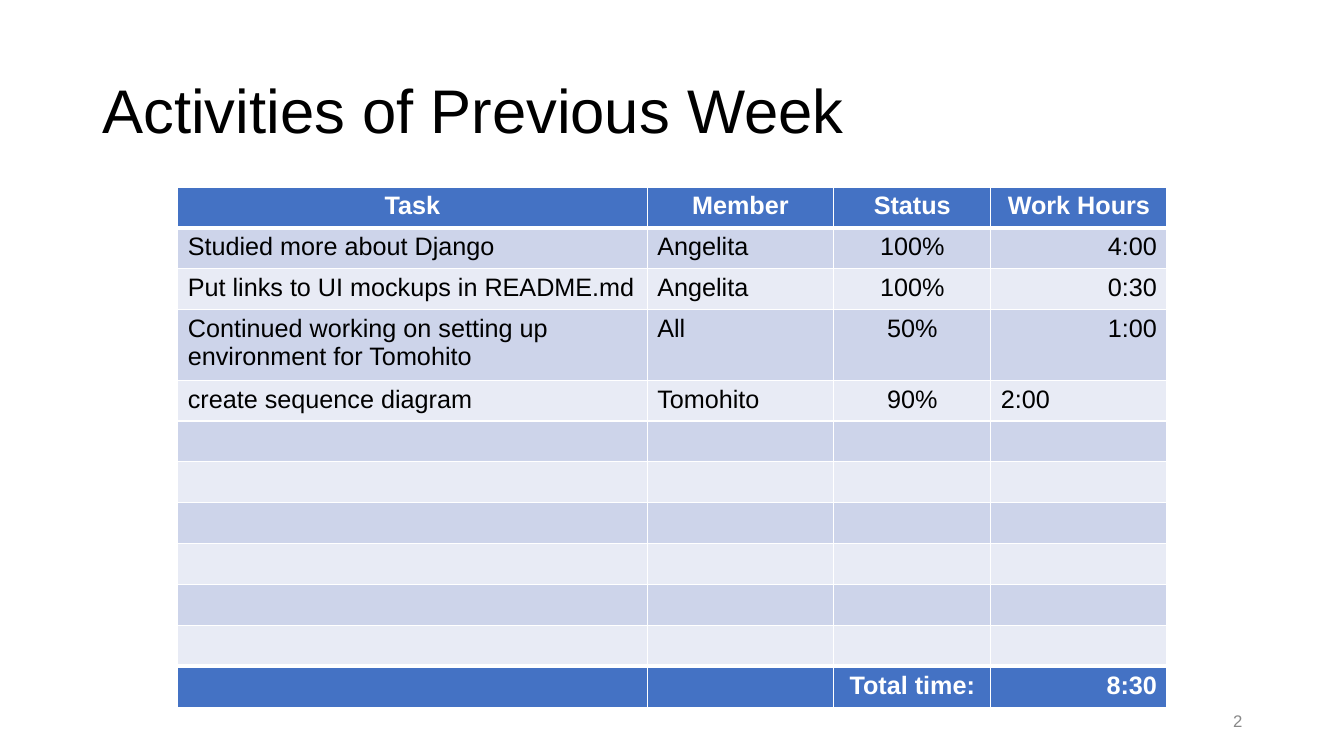
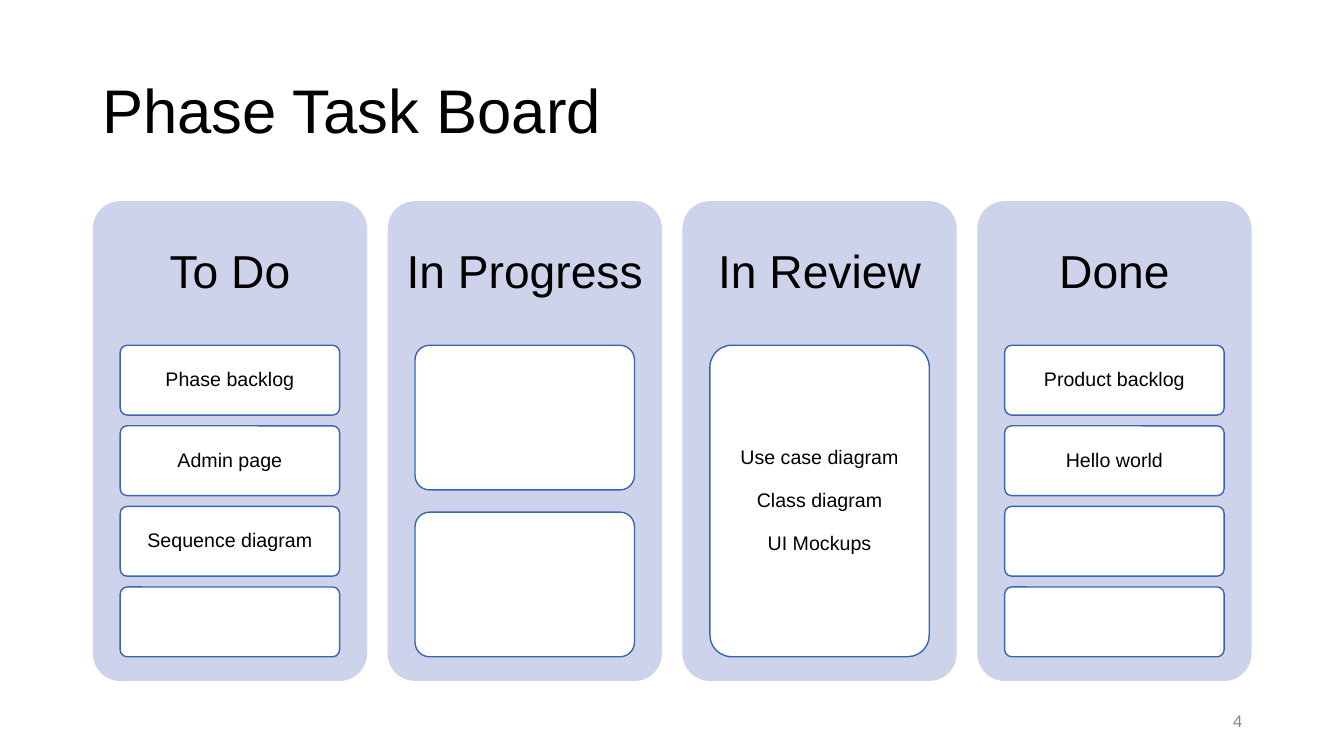
from dataclasses import dataclass

from lxml import etree
from pptx import Presentation
from pptx import util as u
from pptx.dml.color import RGBColor
from pptx.enum import shapes, text
from pptx.oxml import ns

FONT = "Arial"
COLORS = {
    "black": "000000",
    "white": "FFFFFF",
    "number": "888888",
    "header": "4472C4",
    "band_dark": "CDD4EA",
    "band_light": "E8EBF5",
    "column": "CCD3EA",
    "card_line": "3A66B1",
}
LEFT, CENTER, RIGHT = text.PP_ALIGN.LEFT, text.PP_ALIGN.CENTER, text.PP_ALIGN.RIGHT


@dataclass(frozen=True)
class Area:
    """A rectangle in centimetres."""
    left: float
    top: float
    width: float
    height: float

    def lengths(self) -> tuple:
        return tuple(u.Cm(value) for value in (self.left, self.top, self.width, self.height))


@dataclass(frozen=True)
class Activity:
    task: str = ""
    member: str = ""
    status: str = ""
    hours: str = ""
    hours_align: int = RIGHT
    height: float = 1.03

    def values(self) -> tuple:
        return self.task, self.member, self.status, self.hours


@dataclass(frozen=True)
class Column:
    heading: str
    cards: tuple


# Shared places
TITLE = Area(2.33, 1.02, 29.21, 3.68)
NUMBER = Area(23.94, 17.66, 7.62, 1.02)

# Activity table
TABLE_LEFT, TABLE_TOP = 4.48, 4.71
TABLE_WIDTHS = (11.83, 4.7, 3.96, 4.44)
HEADER = Activity("Task", "Member", "Status", "Work Hours", CENTER)
ACTIVITIES = (
    Activity("Studied more about Django", "Angelita", "100%", "4:00"),
    Activity("Put links to UI mockups in README.md", "Angelita", "100%", "0:30"),
    Activity("Continued working on setting up environment for Tomohito",
             "All", "50%", "1:00", height=1.67),
    Activity("create sequence diagram", "Tomohito", "90%", "2:00", LEFT),
    *[Activity()] * 6,
)
TOTAL = Activity(status="Total time:", hours="8:30")

# Task board
BOARD = Area(2.34, 5.07, 6.91, 12.09)  # first column
COLUMN_PITCH = 7.43
HEADING_HEIGHT = 3.63
CARD_INSET = 0.69
CARDS_HEIGHT = 7.85
GAP_RATIO = 2 / 13  # gap between cards, as a part of the card height
COLUMNS = (
    Column("To Do", ("Phase backlog", "Admin page", "Sequence diagram", "")),
    Column("In Progress", ("", "")),
    Column("In Review", ("Use case diagram\nClass diagram\nUI Mockups",)),
    Column("Done", ("Product backlog", "Hello world", "", "")),
)


def rgb(name: str) -> RGBColor:
    return RGBColor.from_string(COLORS[name])


def write_text(frame, content: str, *, size: float = 18, color: str = "black",
               bold: bool = False, align: int = LEFT, line_spacing: float = 1,
               gap: float = 0) -> None:
    """Write one paragraph per line, with a gap in points between them."""
    for index, line in enumerate(content.split("\n")):
        para = frame.paragraphs[0] if index == 0 else frame.add_paragraph()
        para.alignment = align
        para.line_spacing = line_spacing
        para.space_before = u.Pt(gap if index else 0)
        para.font.size = u.Pt(size)
        if line:
            span = para.add_run()
            span.text = line
            span.font.name = FONT
            span.font.size = u.Pt(size)
            span.font.bold = bold
            span.font.color.rgb = rgb(color)


def set_margins(frame, across: float, down: float) -> None:
    frame.word_wrap = True
    frame.vertical_anchor = text.MSO_ANCHOR.MIDDLE
    frame.margin_left = frame.margin_right = u.Cm(across)
    frame.margin_top = frame.margin_bottom = u.Cm(down)


def add_label(page, area: Area, content: str, *, across: float = 0.25,
              down: float = 0.13, **style) -> None:
    box = page.shapes.add_textbox(*area.lengths())
    set_margins(box.text_frame, across, down)
    write_text(box.text_frame, content, **style)


def add_panel(page, area: Area, fill: str, line: str = ""):
    panel = page.shapes.add_shape(shapes.MSO_SHAPE.ROUNDED_RECTANGLE, *area.lengths())
    panel.adjustments[0] = 0.1
    panel.shadow.inherit = False
    panel.fill.solid()
    panel.fill.fore_color.rgb = rgb(fill)
    if line:
        panel.line.color.rgb = rgb(line)
        panel.line.width = u.Pt(1)
    else:
        panel.line.fill.background()
    return panel


def set_borders(cell, top: float = 1, bottom: float = 1) -> None:
    """Draw white cell borders, with widths in points."""
    properties = cell._tc.get_or_add_tcPr()
    for side, width in (("L", 1), ("R", 1), ("T", top), ("B", bottom)):
        line = etree.SubElement(properties, ns.qn(f"a:ln{side}"), w=str(u.Pt(width)))
        fill = etree.SubElement(line, ns.qn("a:solidFill"))
        etree.SubElement(fill, ns.qn("a:srgbClr"), val=COLORS["white"])


def add_page(deck, title: str, number: int):
    page = deck.slides.add_slide(deck.slide_layouts[6])
    add_label(page, TITLE, title, size=44, line_spacing=0.9)
    add_label(page, NUMBER, str(number), size=12, color="number", align=RIGHT)
    return page


def add_activities(page) -> None:
    rows = (HEADER, *ACTIVITIES, TOTAL)
    last = len(rows) - 1
    area = Area(TABLE_LEFT, TABLE_TOP, sum(TABLE_WIDTHS), sum(row.height for row in rows))
    table = page.shapes.add_table(len(rows), len(TABLE_WIDTHS), *area.lengths()).table
    table.first_row = table.horz_banding = False
    for column, width in zip(table.columns, TABLE_WIDTHS):
        column.width = u.Cm(width)

    for index, row in enumerate(rows):
        table.rows[index].height = u.Cm(row.height)
        strong = index in (0, last)
        fill = "header" if strong else ("band_light", "band_dark")[index % 2]
        side = CENTER if index == 0 else LEFT
        aligns = (side, side, CENTER, row.hours_align)
        for cell, value, align in zip(table.rows[index].cells, row.values(), aligns):
            set_borders(cell, top=3 if index in (1, last) else 1,
                        bottom=3 if index in (0, last - 1) else 1)
            cell.fill.solid()
            cell.fill.fore_color.rgb = rgb(fill)
            write_text(cell.text_frame, value, bold=strong, align=align,
                       color="white" if strong else "black")


def add_column(page, column: Column, left: float) -> None:
    add_panel(page, Area(left, BOARD.top, BOARD.width, BOARD.height), "column")
    add_label(page, Area(left, BOARD.top, BOARD.width, HEADING_HEIGHT), column.heading,
              across=0.36, down=0.36, size=33, align=CENTER, line_spacing=0.9)

    # Cards share the height below the heading
    count = len(column.cards)
    height = CARDS_HEIGHT / (count + GAP_RATIO * (count - 1))
    for index, content in enumerate(column.cards):
        top = BOARD.top + HEADING_HEIGHT + index * height * (1 + GAP_RATIO)
        area = Area(left + CARD_INSET, top, BOARD.width - 2 * CARD_INSET, height)
        card = add_panel(page, area, "white", "card_line")
        set_margins(card.text_frame, 0.1, 0.08)
        write_text(card.text_frame, content, size=14, align=CENTER,
                   line_spacing=0.9, gap=15.5)


def main() -> None:
    deck = Presentation()
    deck.slide_width, deck.slide_height = u.Cm(33.87), u.Cm(19.05)

    # Activities
    add_activities(add_page(deck, "Activities of Previous Week", 2))

    # Task board
    page = add_page(deck, "Phase Task Board", 4)
    for index, column in enumerate(COLUMNS):
        add_column(page, column, BOARD.left + index * COLUMN_PITCH)

    deck.save("out.pptx")


if __name__ == "__main__":
    main()
